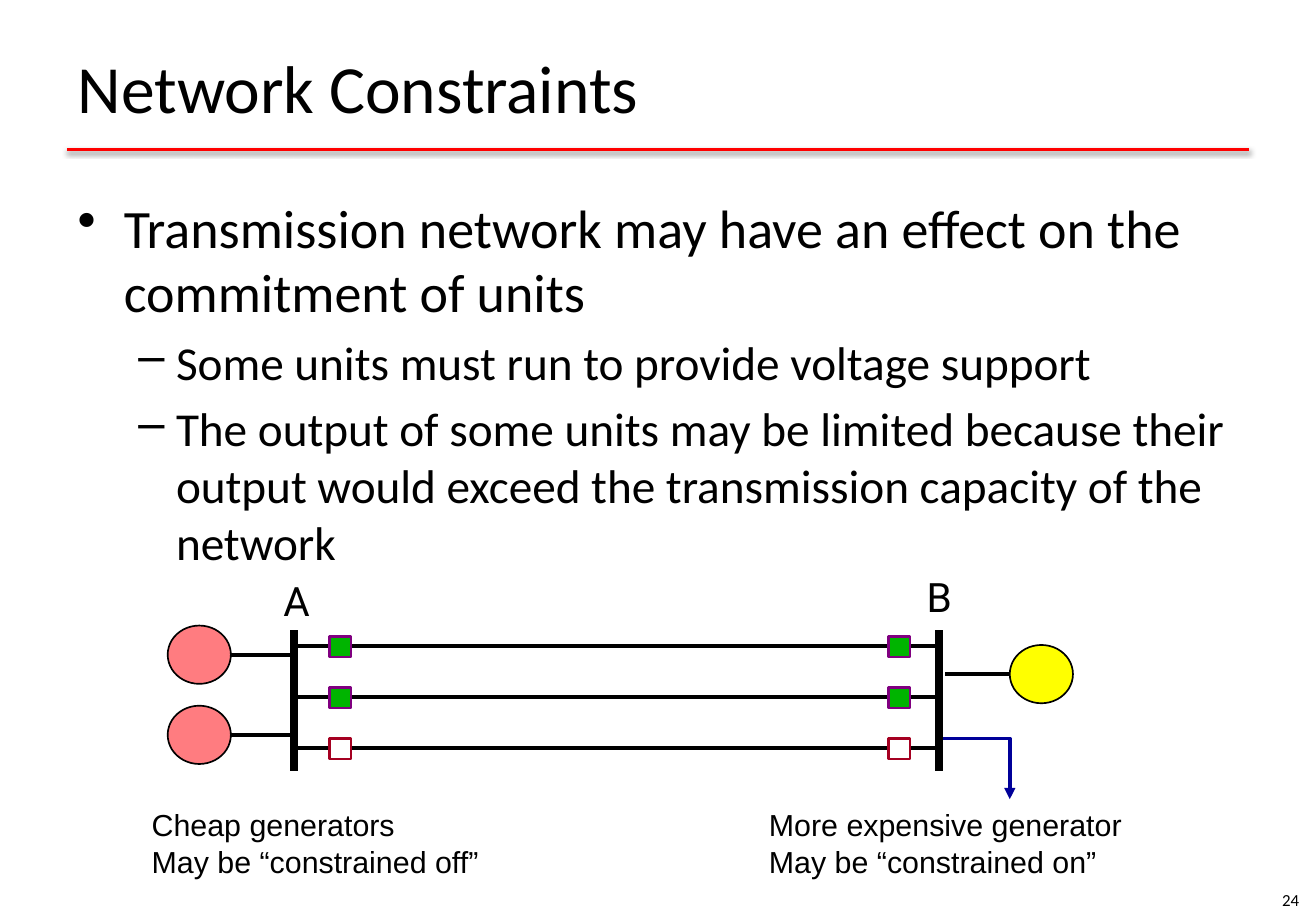
"""Build the Network Constraints slide with its two-bus diagram."""
from lxml.etree import SubElement
from pptx import Presentation
from pptx.dml.color import RGBColor
from pptx.enum.shapes import MSO_CONNECTOR, MSO_SHAPE
from pptx.enum.text import MSO_ANCHOR, MSO_AUTO_SIZE, PP_ALIGN
from pptx.oxml import parse_xml
from pptx.oxml.ns import nsdecls, qn
from pptx.util import Pt

PX = 9144
BLACK = RGBColor(0x00, 0x00, 0x00)
WHITE = RGBColor(0xFF, 0xFF, 0xFF)
RED = RGBColor(0xFF, 0x00, 0x00)
PINK = RGBColor(0xFF, 0x7C, 0x80)
YELLOW = RGBColor(0xFF, 0xFF, 0x00)
GREEN = RGBColor(0x00, 0xB4, 0x00)
PURPLE = RGBColor(0x80, 0x00, 0x80)
CRIMSON = RGBColor(0xA5, 0x00, 0x21)
NAVY = RGBColor(0x00, 0x00, 0x99)

prs = Presentation()
prs.slide_width, prs.slide_height = 1083 * PX, 750 * PX
s = prs.slides.add_slide(prs.slide_layouts[5])


def add_line(x1, y1, x2, y2, width, color=BLACK):
    line = s.shapes.add_connector(
        MSO_CONNECTOR.STRAIGHT, x1 * PX, y1 * PX, x2 * PX, y2 * PX)
    line.line.color.rgb = color
    line.line.width = Pt(width)
    effects = SubElement(line._element.spPr, qn("a:effectLst"))
    return effects


def add_text(x, y, w, h, lines, size, font, align=PP_ALIGN.LEFT,
             anchor=MSO_ANCHOR.TOP, wrap=False):
    tf = s.shapes.add_textbox(x * PX, y * PX, w * PX, h * PX).text_frame
    tf.word_wrap = wrap
    tf.vertical_anchor = anchor
    tf.text = "\n".join(lines)
    for p in tf.paragraphs:
        p.alignment = align
        p.font.size = Pt(size)
        p.font.name = font
        p.font.color.rgb = BLACK
    return tf


title = s.shapes.title
title.left, title.top, title.width, title.height = 54 * PX, 13 * PX, 975 * PX, 117 * PX
tf = title.text_frame
tf.text = "Network Constraints"
tf.auto_size = MSO_AUTO_SIZE.NONE
tf.vertical_anchor = MSO_ANCHOR.MIDDLE
p = tf.paragraphs[0]
p.alignment = PP_ALIGN.LEFT
p.font.size = Pt(40)
p.font.name = "Calibri"
p.font.color.rgb = BLACK

effects = add_line(55, 123, 1028, 123, 2, RED)
effects.append(parse_xml(
    f'<a:outerShdw {nsdecls("a")} blurRad="39370" dist="20320" dir="5400000" rotWithShape="0">'
    '<a:srgbClr val="000000"><a:alpha val="38000"/></a:srgbClr></a:outerShdw>'))

tf = add_text(54, 155, 975, 543, [
    "Transmission network may have an effect on the commitment of units",
    "Some units must run to provide voltage support",
    "The output of some units may be limited because their output would "
    "exceed the transmission capacity of the network",
], 28, "Calibri", wrap=True)
levels = [(0, 32, 38, 38, "•"), (1, 28, 81, 31, "–"), (1, 28, 81, 31, "–")]
for p, (level, size, margin, hang, bullet) in zip(tf.paragraphs, levels):
    p.level = level
    p.font.size = Pt(size)
    p.space_before = Pt(size * 0.2)
    pPr = p._p.get_or_add_pPr()
    pPr.set("marL", str(margin * PX))
    pPr.set("indent", str(-hang * PX))
    mark = parse_xml(f'<a:buChar {nsdecls("a")} char="{bullet}"/>')
    pPr.insert_element_before(mark, "a:tabLst", "a:defRPr", "a:extLst")

add_text(826, 721, 253, 40, ["24"], 10, "Calibri",
         PP_ALIGN.RIGHT, MSO_ANCHOR.MIDDLE, True)

for bus_x in (242, 773):
    add_line(bus_x, 519, bus_x, 635, 4.5)

for x, y, color, start, end in [(138, 515, PINK, 190, 242),
                                (138, 581, PINK, 190, 242),
                                (831, 531, YELLOW, 778, 831)]:
    generator = s.shapes.add_shape(MSO_SHAPE.OVAL, x * PX, y * PX, 52 * PX, 48 * PX)
    generator.shadow.inherit = False
    generator.fill.solid()
    generator.fill.fore_color.rgb = color
    generator.line.color.rgb = BLACK
    generator.line.width = Pt(1)
    add_line(start, y + 24, end, y + 24, 2.25)

for row, (fill, outline) in enumerate([(GREEN, PURPLE), (GREEN, PURPLE), (WHITE, CRIMSON)]):
    y = 524 + 42 * row
    add_line(242, y + 8, 773, y + 8, 2.25)
    for x in (271, 731):
        breaker = s.shapes.add_shape(MSO_SHAPE.RECTANGLE, x * PX, y * PX, 18 * PX, 17 * PX)
        breaker.shadow.inherit = False
        breaker.fill.solid()
        breaker.fill.fore_color.rgb = fill
        breaker.line.color.rgb = outline
        breaker.line.width = Pt(1.5)

builder = s.shapes.build_freeform(776, 608, scale=PX)
builder.add_line_segments([(831, 608), (831, 658)], close=False)
load = builder.convert_to_shape()
load.shadow.inherit = False
load.fill.background()
load.line.color.rgb = NAVY
load.line.width = Pt(2.25)
SubElement(load.line._get_or_add_ln(), qn("a:tailEnd"), type="triangle")

add_text(115, 659, 290, 70, ["Cheap generators", "May be “constrained off”"], 18, "Arial")
add_text(623, 659, 311, 70, ["More expensive generator", "May be “constrained on”"], 18, "Arial")
for name, x, y in [("A", 223, 469), ("B", 752, 466)]:
    add_text(x, y, 42, 50, [name], 24, "Roboto", PP_ALIGN.CENTER, MSO_ANCHOR.MIDDLE)

prs.save("out.pptx")
